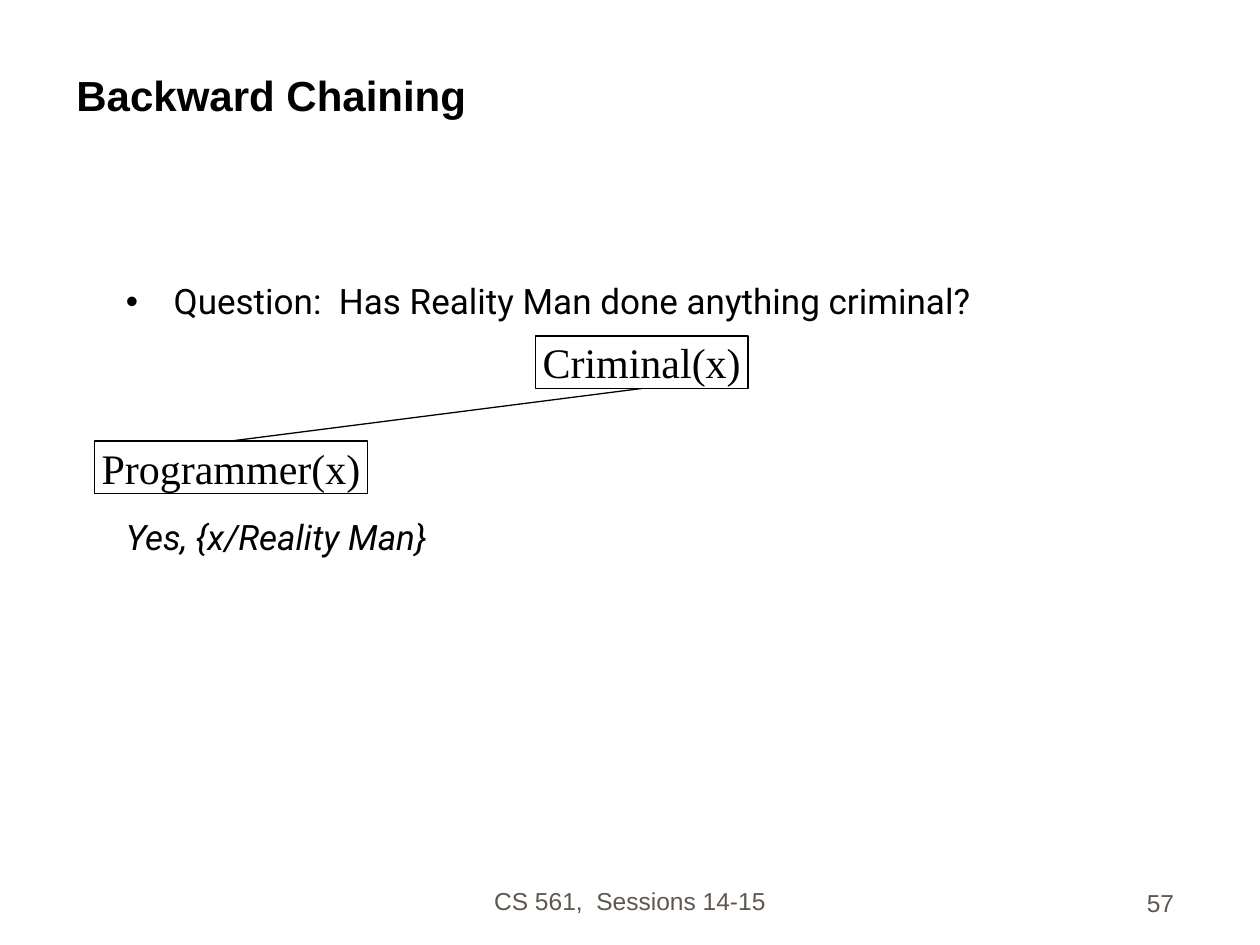
from lxml.etree import SubElement
from pptx import Presentation
from pptx.dml.color import RGBColor
from pptx.enum.shapes import MSO_CONNECTOR, MSO_SHAPE
from pptx.enum.text import MSO_ANCHOR, PP_ALIGN
from pptx.oxml.ns import qn
from pptx.util import Inches, Pt

# Grid of 120 columns by 90 rows on a 10 x 7.5 inch slide
COLUMNS = 120
SLIDE_WIDTH, SLIDE_HEIGHT = Inches(10), Inches(7.5)
CELL = SLIDE_WIDTH / COLUMNS
HANGING_INDENT = Inches(0.38)
BLACK, FOOTER_GREY = "000000", "5E574E"

TITLE_FONT = {"name": "Arial", "size": Pt(24), "bold": True}
FOOTER_FONT = {"name": "Arial", "size": Pt(14)}
QUESTION_FONT = {"name": "Roboto", "size": Pt(20)}
ANSWER_FONT = {**QUESTION_FONT, "italic": True}
GOAL_FONT = {"name": "Times New Roman", "size": Pt(24)}


def cells(*counts):
    return [round(count * CELL) for count in counts]


def set_color(color_format, hex_color):
    color_format.rgb = RGBColor.from_string(hex_color)


def set_values(target, values):
    for attribute, value in values.items():
        setattr(target, attribute, value)


def write(paragraph, text, font_values, color=BLACK, **paragraph_values):
    set_values(paragraph, paragraph_values)
    run = paragraph.add_run()
    run.text = text
    set_values(run.font, font_values)
    set_color(run.font.color, color)


def add_text_frame(slide, place, anchor):
    frame = slide.shapes.add_textbox(*cells(*place)).text_frame
    set_values(frame, {"word_wrap": True, "vertical_anchor": anchor})
    return frame


def add_line_of_text(slide, place, text, font_values, color, alignment):
    frame = add_text_frame(slide, place, MSO_ANCHOR.BOTTOM)
    write(frame.paragraphs[0], text, font_values, color, alignment=alignment)


def add_bullet(paragraph):
    properties = paragraph._p.get_or_add_pPr()
    properties.set("marL", str(HANGING_INDENT))
    properties.set("indent", str(-HANGING_INDENT))
    bullet_color = SubElement(properties, qn("a:buClr"))
    SubElement(bullet_color, qn("a:srgbClr"), val=BLACK)
    SubElement(properties, qn("a:buFont"), typeface="Arial")
    SubElement(properties, qn("a:buChar"), char="•")


def add_goal(slide, place, text):
    goal = slide.shapes.add_shape(MSO_SHAPE.RECTANGLE, *cells(*place))
    goal.shadow.inherit = False
    goal.fill.background()
    goal.line.width = Pt(0.75)
    set_color(goal.line.color, BLACK)
    frame = goal.text_frame
    set_values(frame, {"word_wrap": False, "vertical_anchor": MSO_ANCHOR.MIDDLE})
    write(frame.paragraphs[0], text, GOAL_FONT, alignment=PP_ALIGN.CENTER)
    return goal


def link_goals(slide, parent, child):
    link = slide.shapes.add_connector(MSO_CONNECTOR.STRAIGHT, 0, 0, 0, 0)
    link.begin_connect(parent, 2)
    link.end_connect(child, 0)
    link.line.width = Pt(0.75)
    set_color(link.line.color, BLACK)
    SubElement(link._element.spPr, qn("a:effectLst"))


def main():
    presentation = Presentation()
    set_values(presentation, {"slide_width": SLIDE_WIDTH, "slide_height": SLIDE_HEIGHT})
    slide = presentation.slides.add_slide(presentation.slide_layouts[6])

    # Footer and title
    add_line_of_text(slide, (41, 81.75, 38, 6), "CS 561,  Sessions 14-15",
                     FOOTER_FONT, FOOTER_GREY, PP_ALIGN.CENTER)
    add_line_of_text(slide, (88, 82, 25, 6), "57",
                     FOOTER_FONT, FOOTER_GREY, PP_ALIGN.RIGHT)
    add_line_of_text(slide, (6.1, 3, 107, 9), "Backward Chaining",
                     TITLE_FONT, BLACK, PP_ALIGN.LEFT)

    # Question and answer, with room for the proof tree between them
    body = add_text_frame(slide, (10.8, 26.5, 106.7, 54), MSO_ANCHOR.TOP)
    question = body.paragraphs[0]
    add_bullet(question)
    write(question, "Question:  Has Reality Man done anything criminal?",
          QUESTION_FONT, line_spacing=0.9)
    write(body.add_paragraph(), "Yes, {x/Reality Man}", ANSWER_FONT,
          line_spacing=0.8, space_before=Pt(115))

    # Proof tree
    criminal = add_goal(slide, (51, 32, 20.25, 5), "Criminal(x)")
    programmer = add_goal(slide, (9, 42, 26, 5), "Programmer(x)")
    link_goals(slide, criminal, programmer)

    presentation.save("out.pptx")


if __name__ == "__main__":
    main()
